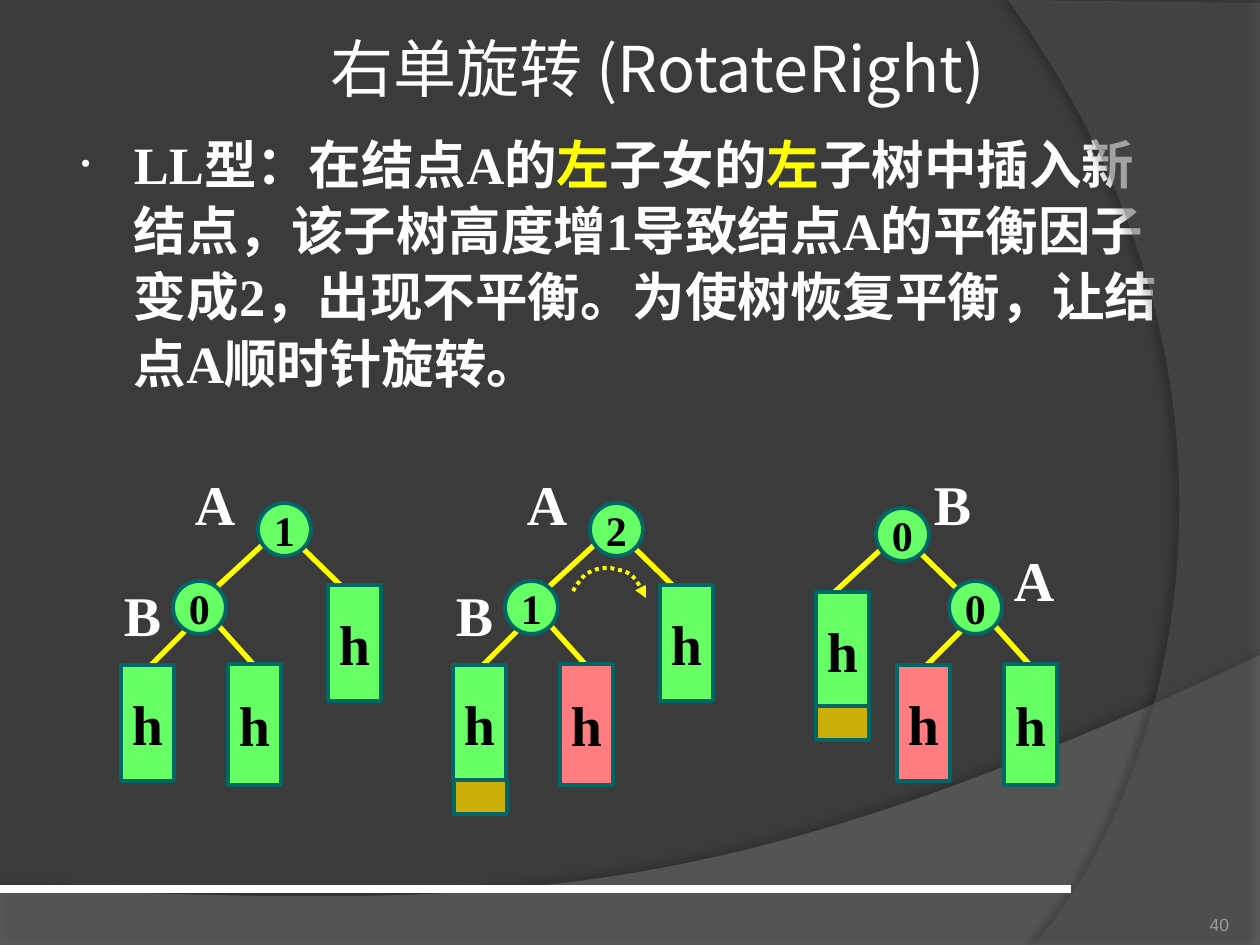
from dataclasses import dataclass

from lxml import etree
from pptx import Presentation
from pptx.dml.color import RGBColor
from pptx.enum.dml import MSO_LINE
from pptx.enum.shapes import MSO_CONNECTOR, MSO_SHAPE
from pptx.enum.text import MSO_ANCHOR, MSO_AUTO_SIZE, PP_ALIGN
from pptx.oxml.ns import qn
from pptx.util import Pt

RECT, OVAL = MSO_SHAPE.RECTANGLE, MSO_SHAPE.OVAL
LINE, DOTS = MSO_CONNECTOR.STRAIGHT, MSO_LINE.ROUND_DOT
LEFT, MID, RIGHT = PP_ALIGN.LEFT, PP_ALIGN.CENTER, PP_ALIGN.RIGHT
TOP, CENTER, LOW = MSO_ANCHOR.TOP, MSO_ANCHOR.MIDDLE, MSO_ANCHOR.BOTTOM
FIT_OFF = MSO_AUTO_SIZE.NONE
SCALE = 914400 / 126  # EMU in one px


@dataclass(frozen=True)
class Theme:
    back: str = "3B3B3B"
    wave: str = "7F7F7F"
    side: str = "5E5E5E"
    white: str = "FFFFFF"
    black: str = "000000"
    yellow: str = "FFFF00"
    green: str = "66FF66"
    pink: str = "FF7C80"
    gold: str = "CCAF0A"
    teal: str = "006666"
    gray: str = "9D9B9A"
    sans: str = "Noto Sans CJK JP"
    serif: str = "Times New Roman"
    plain: str = "Arial"
    title: int = 36
    body: int = 30
    mark: int = 32
    digit: int = 24
    page: int = 10


T = Theme()


@dataclass(frozen=True)
class Edge:
    x1: int
    y1: int
    x2: int
    y2: int


@dataclass(frozen=True)
class Box:
    x: int
    y: int
    high: int
    text: str = "h"
    fill: str = T.green


@dataclass(frozen=True)
class Node:
    x: int
    y: int
    text: str


@dataclass(frozen=True)
class Mark:
    x: int
    y: int
    text: str


@dataclass(frozen=True)
class Tree:
    edges: list[Edge]
    boxes: list[Box]
    nodes: list[Node]
    marks: list[Mark]


def px(n: float) -> int:
    return round(n * SCALE)


def area(*spans: int) -> list[int]:
    return [px(n) for n in spans]


def rgb(code: str) -> RGBColor:
    return RGBColor.from_string(code)


def sub(parent, tag: str, **attrs):
    return etree.SubElement(parent, qn(tag), {k: str(v) for k, v in attrs.items()})


def write(para, text: str, size: int, color: str, face: str = T.serif, bold: bool = True) -> None:
    run = para.add_run()
    run.text = text
    font = run.font
    font.size, font.bold, font.name = Pt(size), bold, face
    font.color.rgb = rgb(color)
    font.name = face
    sub(run._r.get_or_add_rPr(), "a:ea", typeface=T.sans)


def frame(shape, align=LEFT, anchor=TOP, inset: int = 0, wrap: bool = False):
    text = shape.text_frame
    text.auto_size, text.word_wrap, text.vertical_anchor = FIT_OFF, wrap, anchor
    text.margin_left = text.margin_right = text.margin_top = text.margin_bottom = px(inset)
    text.paragraphs[0].alignment = align
    return text.paragraphs[0]


def link(slide, edge: Edge, color: str, width: float) -> None:
    line = slide.shapes.add_connector(LINE, *area(edge.x1, edge.y1, edge.x2, edge.y2))
    line.line.color.rgb, line.line.width = rgb(color), Pt(width)
    sub(line._element.spPr, "a:effectLst")


def block(slide, kind, spot: list[int], fill: str, text: str, size: int) -> None:
    shape = slide.shapes.add_shape(kind, *spot)
    shape.shadow.inherit = False
    shape.fill.solid()
    shape.fill.fore_color.rgb = rgb(fill)
    shape.line.color.rgb, shape.line.width = rgb(T.teal), Pt(2.25)
    if text:
        write(frame(shape, MID, CENTER), text, size, T.black)


def curve(points: list[tuple[int, int]], steps: int = 40) -> list[tuple[int, int]]:
    """Sample joined cubic curves, given as start, two handles, end, and so on."""
    out = [area(*points[0])]
    for i in range(0, len(points) - 1, 3):
        part = points[i:i + 4]
        for n in range(1, steps + 1):
            t = n / steps
            mix = ((1 - t) ** 3, 3 * t * (1 - t) ** 2, 3 * t * t * (1 - t), t ** 3)
            out.append([px(sum(m * p[k] for m, p in zip(mix, part))) for k in (0, 1)])
    return out


def outline(slide, points, close: bool):
    pen = slide.shapes.build_freeform(*points[0])
    pen.add_line_segments(points[1:], close=close)
    shape = pen.convert_to_shape()
    shape.shadow.inherit = False
    return shape


def sweep(slide, edge, bend, color: str, alpha: int, dark: int, dist: float, turn: int) -> None:
    shape = outline(slide, [area(*p) for p in edge] + curve(bend), True)
    shape.fill.solid()
    shape.fill.fore_color.rgb = rgb(color)
    shape.line.fill.background()
    props = shape._element.spPr
    sub(props.find(".//" + qn("a:srgbClr")), "a:alpha", val=alpha * 1000)
    cast = sub(props.find(qn("a:effectLst")), "a:outerShdw", blurRad=Pt(4),
               dist=Pt(dist), dir=turn * 60000, algn="ctr", rotWithShape=0)
    sub(sub(cast, "a:srgbClr", val=T.black), "a:alpha", val=dark * 1000)


def plant(slide, tree: Tree) -> None:
    for edge in tree.edges:
        link(slide, edge, T.yellow, 3)
    for box in tree.boxes:
        block(slide, RECT, area(box.x, box.y, 53, box.high), box.fill, box.text, T.mark)
    for node in tree.nodes:
        block(slide, OVAL, area(node.x, node.y, 53, 53), T.green, node.text, T.digit)
    for mark in tree.marks:
        label = slide.shapes.add_textbox(*area(mark.x, mark.y, 65, 80))
        write(frame(label, inset=12), mark.text, T.mark, T.white)


def low(x: int, digit: str, left: str = T.green, right: str = T.green) -> Tree:
    """The lower node with its two subtrees."""
    return Tree([Edge(x + 35, 614, x + 80, 664), Edge(x + 19, 624, x - 32, 675)],
                [Box(x - 52, 665, 116, fill=left), Box(x + 55, 664, 121, fill=right)],
                [Node(x, 581, digit)], [])


def high(x: int, y: int, digit: str, marks: list[Mark], side: int, drop: int) -> Tree:
    """The root with its two edges and the subtree on one side."""
    return Tree([Edge(x + 29, y + 30, x + 110, y + 109), Edge(x + 12, y + 35, x - 50, y + 92)],
                [Box(x + side, y + drop, 116)], [Node(x, y, digit)], marks)


def main() -> None:
    deck = Presentation()
    deck.slide_width, deck.slide_height = area(1260, 945)
    slide = deck.slides.add_slide(deck.slide_layouts[1])
    slide.background.fill.solid()
    slide.background.fill.fore_color.rgb = rgb(T.back)

    # Backdrop
    sweep(slide, [(0, 888), (0, 945), (1260, 945)],
          [(1260, 655), (704, 919), (493, 906), (0, 888)], T.wave, 45, 35, 3.5, 270)
    sweep(slide, [(1260, 3), (1260, 945)],
          [(1034, 945), (1178, 780), (1283, 378), (1008, 0)], T.side, 40, 45, 4, 180)
    link(slide, Edge(0, 889, 1071, 889), T.white, 4.5)
    link(slide, Edge(974, 829, 974, 829), T.white, 0.75)

    # Title
    title = slide.shapes.title
    title.left, title.top, title.width, title.height = area(263, 25, 789, 84)
    write(frame(title, MID, CENTER, 6, True), "右单旋转 (RotateRight)", T.title, T.white, T.sans, False)

    # Body
    body = slide.placeholders[1]
    body.left, body.top, body.width, body.height = area(64, 123, 1134, 367)
    para = frame(body, inset=12, wrap=True)
    body.text_frame.margin_top = body.text_frame.margin_bottom = px(6)
    para.line_spacing, para.space_before = 1.05, Pt(3)
    props = para._p.get_or_add_pPr()
    props.set("marL", str(px(58)))
    props.set("indent", str(px(-53)))
    sub(sub(props, "a:buClr"), "a:srgbClr", val=T.white)
    sub(props, "a:buSzPct", val=50000)
    sub(props, "a:buChar", char="•")
    for text, color in (
        ("LL型：在结点A的", T.white), ("左", T.yellow), ("子女的", T.white), ("左", T.yellow),
        ("子树中插入新结点，该子树高度增1导致结点A的平衡因子变成2，出现不平衡。"
         "为使树恢复平衡，让结点A顺时针旋转。", T.white),
    ):
        write(para, text, T.body, color)

    # Trees before the insert, after it, and after the turn
    for x, root, child, right in ((258, "1", "0", T.green), (590, "2", "1", T.pink)):
        marks = [Mark(x - 75, 457, "A"), Mark(x - 146, 568, "B")]
        plant(slide, high(x, 503, root, marks, 70, 82))
        plant(slide, low(x - 85, child, right=right))
    plant(slide, high(876, 508, "0", [Mark(1002, 533, "A"), Mark(922, 457, "B")], -60, 84))
    plant(slide, low(949, "0", left=T.pink))

    # Added nodes
    for x, y in ((454, 780), (816, 706)):
        block(slide, RECT, area(x, y, 53, 34), T.gold, "", T.mark)

    # Turn arrow
    arc = outline(slide, curve([
        (573, 591), (578, 583), (583, 575), (590, 572), (597, 568), (604, 568), (611, 568),
        (617, 570), (625, 570), (631, 575), (638, 580), (644, 595), (646, 598)], 8), False)
    arc.fill.background()
    arc.line.color.rgb, arc.line.width = rgb(T.yellow), Pt(2.25)
    arc.line.dash_style = DOTS
    sub(arc.line._get_or_add_ln(), "a:tailEnd", type="triangle")

    # Page number
    page = slide.shapes.add_textbox(*area(1124, 885, 105, 50))
    write(frame(page, RIGHT, LOW, wrap=True), "40", T.page, T.gray, T.plain, False)

    deck.save("out.pptx")


if __name__ == "__main__":
    main()
